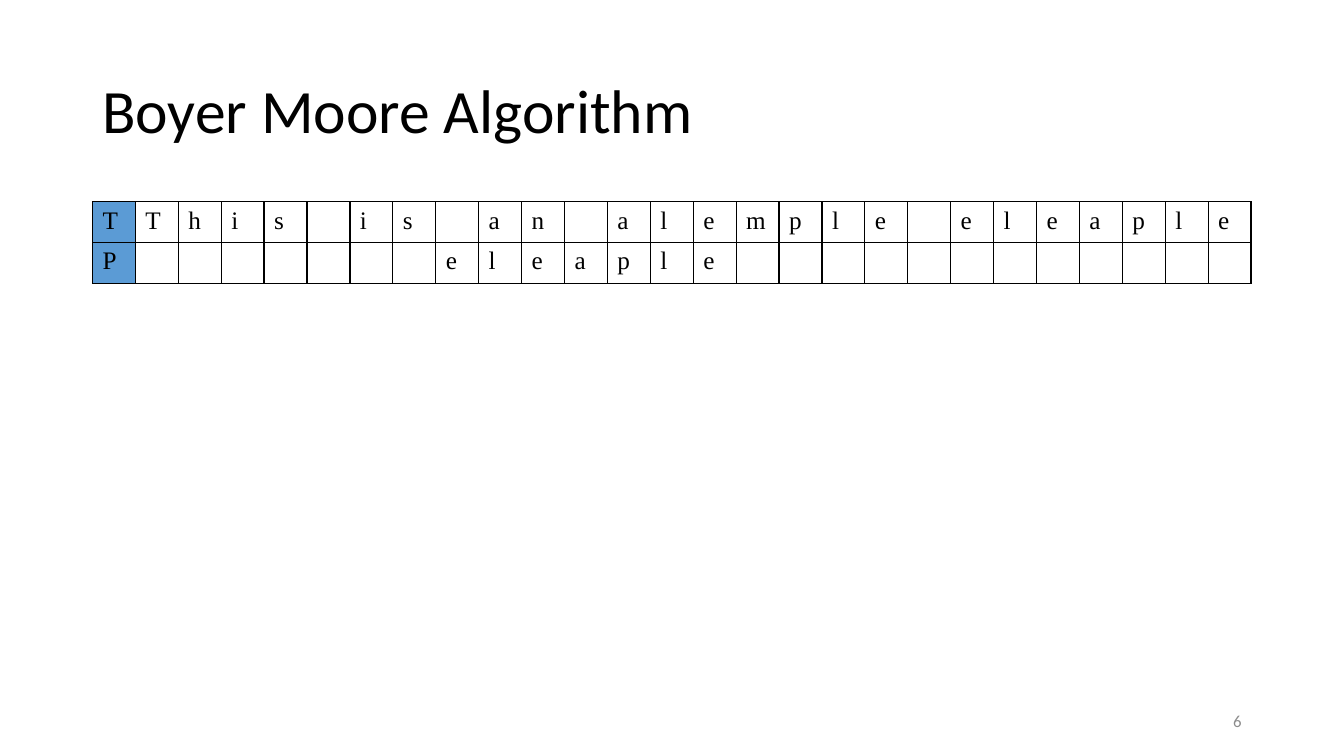
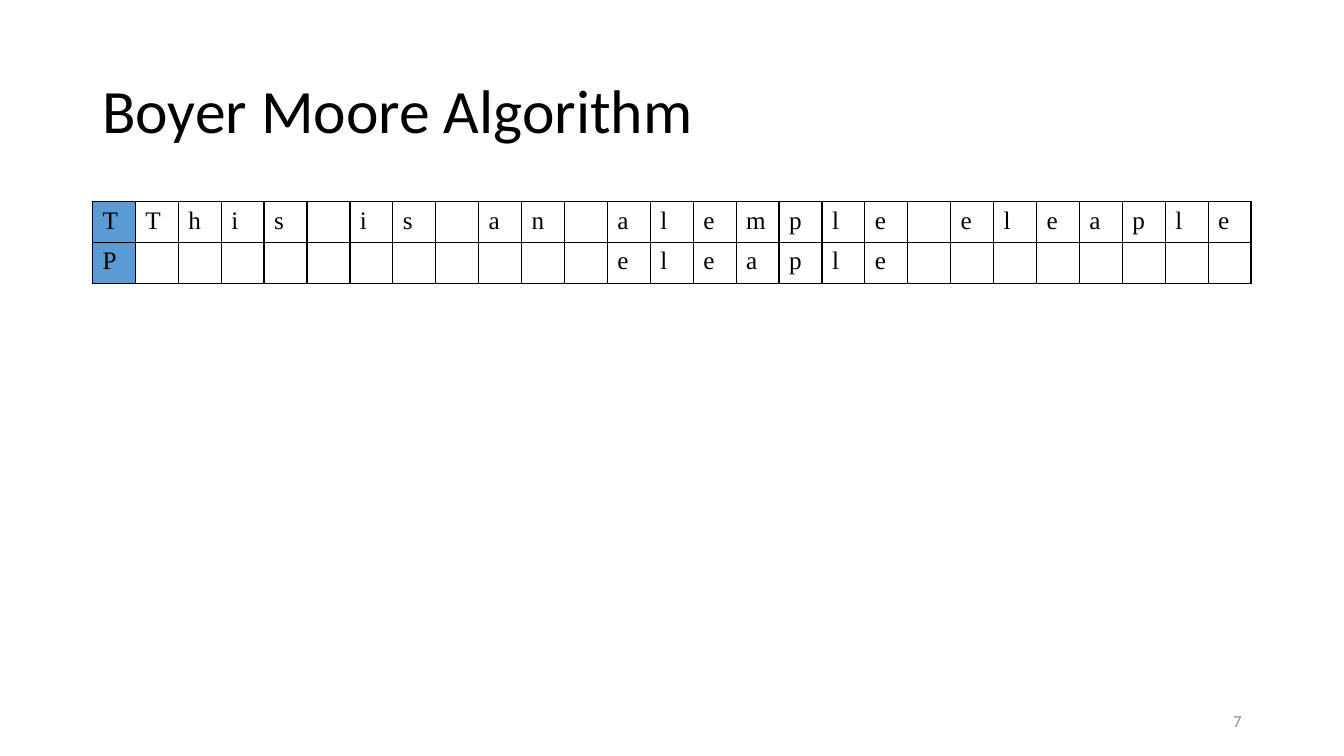
import pptx
import pptx.dml.color
import pptx.enum.text
import pptx.oxml
import pptx.oxml.ns
import pptx.util

COLORS = {"text": "000000", "border": "000000", "label": "5B9BD5", "number": "8C8C8C"}
FORMATS = {
    "title": {"name": "Calibri", "size": pptx.util.Pt(44), "color": "text"},
    "cell": {"name": "Times New Roman", "size": pptx.util.Pt(18), "color": "text"},
    "number": {"name": "Calibri", "size": pptx.util.Pt(12), "color": "number"},
}
MARGIN = 6.88
CONTENT_WIDTH = 86.25
NUMBER_WIDTH = 22.5
TEXT = "This is an alemple eleaple"
PATTERN = "eleaple"
ALIGNMENTS = {6: 7, 7: 11}


class Deck:
    def __init__(self):
        self.presentation = pptx.Presentation()
        self.presentation.slide_width = pptx.util.Inches(13.33)
        self.presentation.slide_height = pptx.util.Inches(7.5)
        self.slide = None

    def add_slide(self):
        self.slide = self.presentation.slides.add_slide(self.presentation.slide_layouts[6])

    def place(self, left, top, width, height):
        across = self.presentation.slide_width / 100
        down = self.presentation.slide_height / 100
        return [round(length) for length in (left * across, top * down, width * across, height * down)]

    def color(self, name):
        return pptx.dml.color.RGBColor.from_string(COLORS[name])

    def set_text(self, paragraph, text, style):
        paragraph.text = text
        for key, value in FORMATS[style].items():
            if key == "color":
                paragraph.font.color.rgb = self.color(value)
            else:
                setattr(paragraph.font, key, value)

    def text_box(self, text, style, area, **paragraph_format):
        frame = self.slide.shapes.add_textbox(*self.place(*area)).text_frame
        frame.word_wrap = True
        frame.vertical_anchor = pptx.enum.text.MSO_ANCHOR.MIDDLE
        paragraph = frame.paragraphs[0]
        for key, value in paragraph_format.items():
            setattr(paragraph, key, value)
        self.set_text(paragraph, text, style)

    def title(self, text):
        self.text_box(text, "title", (MARGIN, 5.33, CONTENT_WIDTH, 19.33), line_spacing=0.9)

    def number(self, number):
        left = MARGIN + CONTENT_WIDTH - NUMBER_WIDTH
        self.text_box(str(number), "number", (left, 92.67, NUMBER_WIDTH, 5.33),
                      alignment=pptx.enum.text.PP_ALIGN.RIGHT)

    def border(self, cell):
        properties = cell._tc.get_or_add_tcPr()
        for side in "LRTB":
            properties.append(pptx.oxml.parse_xml(
                f'<a:ln{side} {pptx.oxml.ns.nsdecls("a")} w="{pptx.util.Pt(1)}"><a:solidFill>'
                f'<a:srgbClr val="{COLORS["border"]}"/></a:solidFill></a:ln{side}>'))

    def letter_table(self, rows):
        area = self.place(MARGIN, 26.67, CONTENT_WIDTH, 10.8)
        table = self.slide.shapes.add_table(len(rows), len(rows[0]), *area).table
        table.first_row = False
        table.horz_banding = False
        for row, letters in enumerate(rows):
            for column, letter in enumerate(letters):
                cell = table.cell(row, column)
                self.border(cell)
                if column == 0:
                    cell.fill.solid()
                    cell.fill.fore_color.rgb = self.color("label")
                else:
                    cell.fill.background()
                self.set_text(cell.text_frame.paragraphs[0], letter.strip(), "cell")


def main():
    deck = Deck()
    for number, shift in ALIGNMENTS.items():
        deck.add_slide()
        deck.title("Boyer Moore Algorithm")
        aligned = (" " * shift + PATTERN).ljust(len(TEXT))
        deck.letter_table(["T" + TEXT, "P" + aligned])
        deck.number(number)
    deck.presentation.save("out.pptx")


if __name__ == "__main__":
    main()
